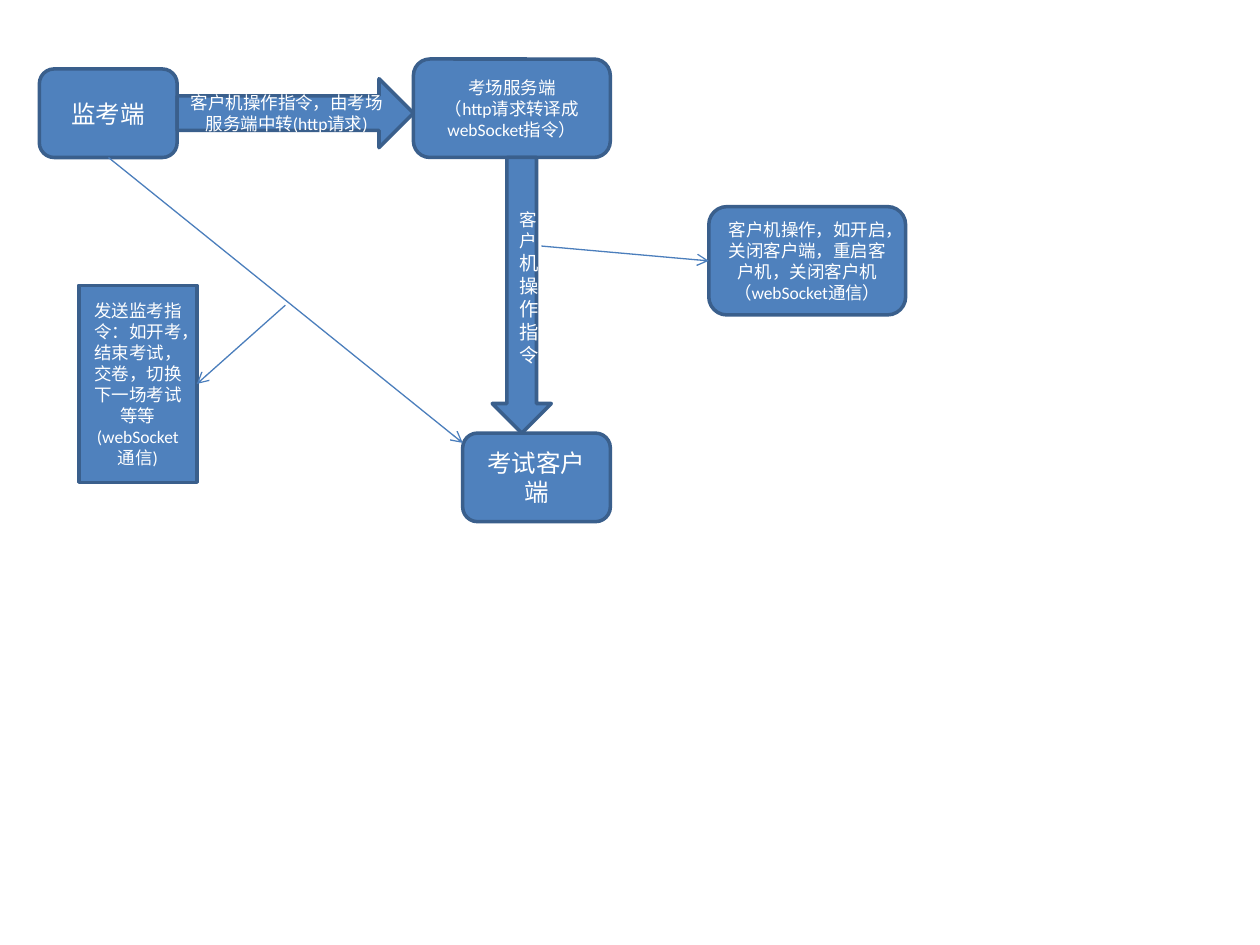
from typing import NamedTuple

from lxml import etree
from pptx import Presentation
from pptx.dml.color import RGBColor
from pptx.enum.shapes import MSO_CONNECTOR, MSO_SHAPE as Geo
from pptx.enum.text import MSO_ANCHOR, PP_ALIGN
from pptx.oxml.ns import qn
from pptx.util import Pt

FILL, BORDER, LINK, TEXT = "4F81BD", "3A5F8C", "4B7EBC", "FFFFFF"
FONT = "Calibri"


class Run(NamedTuple):
    text: str
    size: float = 10


class Node(NamedTuple):
    geometry: Geo
    left: float
    top: float
    width: float
    height: float
    paragraphs: list[list[Run]]


class Link(NamedTuple):
    x1: float
    y1: float
    x2: float
    y2: float


def paint(color_format, hex_color: str) -> None:
    color_format.rgb = RGBColor.from_string(hex_color)


def draw_node(slide, node: Node) -> None:
    box = slide.shapes.add_shape(
        node.geometry, Pt(node.left), Pt(node.top), Pt(node.width), Pt(node.height))
    box.shadow.inherit = False
    box.fill.solid()
    paint(box.fill.fore_color, FILL)
    paint(box.line.color, BORDER)
    box.line.width = Pt(2)

    frame = box.text_frame
    frame.word_wrap = True
    frame.vertical_anchor = MSO_ANCHOR.MIDDLE
    for index, runs in enumerate(node.paragraphs):
        paragraph = frame.add_paragraph() if index else frame.paragraphs[0]
        paragraph.alignment = PP_ALIGN.CENTER
        for text, size in runs:
            run = paragraph.add_run()
            run.text = text
            run.font.name = FONT
            run.font.size = Pt(size)
            paint(run.font.color, TEXT)


def draw_link(slide, link: Link) -> None:
    arrow = slide.shapes.add_connector(MSO_CONNECTOR.STRAIGHT, *map(Pt, link))
    paint(arrow.line.color, LINK)
    arrow.line.width = Pt(0.75)
    etree.SubElement(arrow.line._get_or_add_ln(), qn("a:tailEnd"), type="arrow")
    etree.SubElement(arrow._element.spPr, qn("a:effectLst"))


# Diagram parts, from back to front
PARTS = [
    # The three endpoints
    Node(Geo.ROUNDED_RECTANGLE, 22.5, 39.4, 78.75, 50.6, [[Run("监考端", 14)]]),
    Node(Geo.ROUNDED_RECTANGLE, 264.4, 247.5, 84.4, 50.6, [[Run("考试客户端", 14)]]),
    Node(Geo.ROUNDED_RECTANGLE, 236.25, 33.75, 112.5, 56.25,
         [[Run("考场服务端")], [Run("（http请求转译成webSocket指令）")]]),
    # Direct invigilation commands and their note
    Link(62, 90, 264.4, 253.1),
    Node(Geo.RECTANGLE, 45, 163.1, 67.5, 112.5,
         [[Run("发送监考指令：如开考，结束考试，交卷，切换下一场考试等等(webSocket通信)")]]),
    Link(163.1, 174.4, 112.5, 219.4),
    # Machine commands relayed by the server and their note
    Node(Geo.RIGHT_ARROW, 101.25, 45, 135, 39.4,
         [[Run("客户机操作指令，由考场服务端中转(http请求)")]]),
    Node(Geo.DOWN_ARROW, 281.25, 90, 33.75, 157.5,
         [[Run("客户"), Run("机操作指令", 11)]]),
    Node(Geo.ROUNDED_RECTANGLE, 405, 118.1, 112.5, 61.9,
         [[Run("客户机操作，如开启，关闭客户端，重启客户机，关闭客户机（webSocket通信）")]]),
    Link(309.4, 140.6, 405, 149.1),
]

presentation = Presentation()
presentation.slide_width, presentation.slide_height = Pt(720), Pt(540)
exam_flow = presentation.slides.add_slide(presentation.slide_layouts[6])
for part in PARTS:
    if isinstance(part, Node):
        draw_node(exam_flow, part)
    else:
        draw_link(exam_flow, part)
presentation.save("out.pptx")
